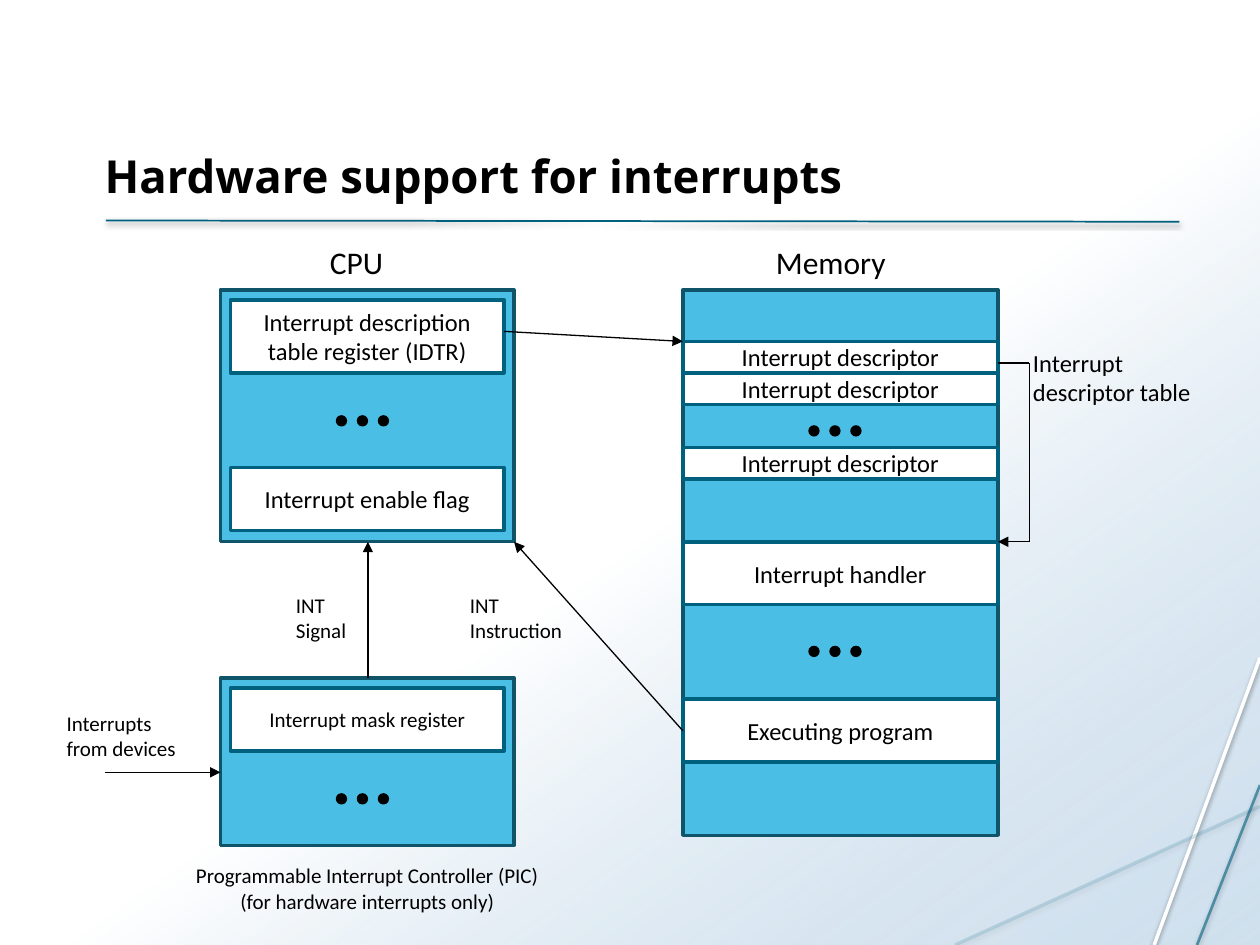
from dataclasses import dataclass

from lxml import etree
from pptx import Presentation
from pptx.dml.color import RGBColor
from pptx.enum import shapes, text
from pptx.oxml.ns import qn
from pptx.util import Inches, Pt


@dataclass(frozen=True)
class Theme:
    black: str = "000000"
    white: str = "FFFFFF"
    haze: str = "A9C7E0"
    panel: str = "4ABEE4"
    panel_edge: str = "10546A"
    accent: str = "00617F"
    accent_soft: str = "15718F"
    body_font: str = "Calibri"
    title_font: str = "Open Sans"
    title: float = 26
    heading: float = 18
    body: float = 14
    small: float = 12
    thin: float = 0.75
    edge: float = 2


T = Theme()


@dataclass(frozen=True)
class Box:
    left: float
    top: float
    width: float
    height: float
    lines: tuple[str, ...] = ()
    size: float = T.body
    fill: str = T.white
    edge: str = T.accent


@dataclass(frozen=True)
class Label:
    left: float
    top: float
    width: float
    height: float
    lines: tuple[str, ...]
    size: float = T.small
    align: text.PP_ALIGN = text.PP_ALIGN.LEFT


@dataclass(frozen=True)
class Line:
    start: tuple[float, float]
    end: tuple[float, float]
    arrow: bool = True
    color: str = T.black
    width: float = T.thin
    opacity: int = 100
    shadow: bool = False


CPU_X, CPU_W = 1.75, 2.33
REG_X, REG_W = 1.83, 2.17
MEM_X, MEM_W = 5.42, 2.5
MEM_RIGHT = MEM_X + MEM_W
LOOP_X = 8.17
HANDLER_Y = 4.3
DOT, DOT_PITCH = 0.08, 1 / 6

DECOR = [
    Line((10, 5.22), (9.16, 7.5), False, T.white, 2, shadow=True),
    Line((10, 6.4), (7.58, 7.5), False, T.accent_soft, 2, 16, True),
    Line((10, 6.23), (9.5, 7.5), False, T.accent, 1.5, 60, True),
    Line((0.84, 1.75), (9.36, 1.76), False, T.accent, 1, shadow=True),
]
PANELS = [
    Box(MEM_X, 2.3, MEM_W, 4.33, fill=T.panel, edge=T.panel_edge),
    Box(CPU_X, 2.3, CPU_W, 2, fill=T.panel, edge=T.panel_edge),
    Box(CPU_X, 5.38, CPU_W, 1.33, fill=T.panel, edge=T.panel_edge),
]
REGISTERS = [
    Box(REG_X, 2.38, REG_W, 0.58, ("Interrupt description", "table register (IDTR)")),
    Box(REG_X, 3.71, REG_W, 0.5, ("Interrupt enable flag",)),
    Box(REG_X, 5.46, REG_W, 0.5, ("Interrupt mask register",), T.small),
]
MEMORY = [Box(MEM_X, y, MEM_W, 0.25, ("Interrupt descriptor",)) for y in (2.71, 2.96, 3.55)] + [
    Box(MEM_X, HANDLER_Y, MEM_W, 0.5, ("Interrupt handler",)),
    Box(MEM_X, 5.55, MEM_W, 0.5, ("Executing program",)),
]
LABELS = [
    Label(6.06, 1.88, 1.21, 0.4, ("Memory",), T.heading),
    Label(2.52, 1.88, 0.7, 0.4, ("CPU",), T.heading),
    Label(1.14, 6.8, 3.55, 0.5,
          ("Programmable Interrupt Controller (PIC)", "(for hardware interrupts only)"),
          align=text.PP_ALIGN.CENTER),
    Label(3.63, 4.65, 1.09, 0.5, ("INT", "Instruction")),
    Label(2.25, 4.65, 0.71, 0.5, ("INT", "Signal")),
    Label(0.43, 5.59, 1.27, 0.5, ("Interrupts", "from devices")),
    Label(8.1, 2.71, 1.74, 0.56, ("Interrupt", "descriptor table"), T.body),
]
ARROWS = [
    Line((4, 2.63), (MEM_X, 2.71)),
    Line((MEM_RIGHT, 2.88), (LOOP_X, 2.88), False),
    Line((LOOP_X, 2.88), (LOOP_X, HANDLER_Y), False),
    Line((LOOP_X, HANDLER_Y), (MEM_RIGHT, HANDLER_Y)),
    Line((MEM_X, 5.8), (4.08, 4.3)),
    Line((2.92, 5.38), (2.92, 4.3)),
    Line((0.83, 6.13), (CPU_X, 6.13)),
]
ELLIPSES = [(2.67, 3.3), (2.67, 6.3), (6.42, 3.38), (6.42, 5.13)]


def rgb(color: str) -> RGBColor:
    return RGBColor.from_string(color)


def add_xml(parent, tag: str, **attrs):
    values = {name: str(value) for name, value in attrs.items()}
    return etree.SubElement(parent, qn(tag), values)


def write(tf, lines: tuple[str, ...], size: float, align, font: str = T.body_font,
          bold: bool = False) -> None:
    tf.word_wrap = True
    for i, line in enumerate(lines):
        p = tf.paragraphs[0] if i == 0 else tf.add_paragraph()
        p.alignment = align
        r = p.add_run()
        r.text = line
        r.font.name, r.font.size, r.font.bold = font, Pt(size), bold
        r.font.color.rgb = rgb(T.black)


def add_shape(s, kind, left: float, top: float, width: float, height: float):
    sp = s.shapes.add_shape(kind, *map(Inches, (left, top, width, height)))
    sp.shadow.inherit = False
    return sp


def add_box(s, box: Box) -> None:
    sp = add_shape(s, shapes.MSO_SHAPE.RECTANGLE, box.left, box.top, box.width, box.height)
    sp.fill.solid()
    sp.fill.fore_color.rgb = rgb(box.fill)
    sp.line.color.rgb = rgb(box.edge)
    sp.line.width = Pt(T.edge)
    if box.lines:
        sp.text_frame.vertical_anchor = text.MSO_ANCHOR.MIDDLE
        write(sp.text_frame, box.lines, box.size, text.PP_ALIGN.CENTER)


def add_label(s, label: Label) -> None:
    sp = s.shapes.add_textbox(*map(Inches, (label.left, label.top, label.width, label.height)))
    write(sp.text_frame, label.lines, label.size, label.align)


def add_line(s, line: Line) -> None:
    cx = s.shapes.add_connector(shapes.MSO_CONNECTOR.STRAIGHT,
                                *map(Inches, line.start + line.end))
    cx.line.color.rgb = rgb(line.color)
    cx.line.width = Pt(line.width)
    sp_pr = cx.element.spPr
    ln = sp_pr.find(qn("a:ln"))
    if line.opacity < 100:
        add_xml(ln.find(".//" + qn("a:srgbClr")), "a:alpha", val=line.opacity * 1000)
    if line.arrow:
        add_xml(ln, "a:tailEnd", type="triangle")
    effects = add_xml(sp_pr, "a:effectLst")
    if line.shadow:
        shadow = add_xml(effects, "a:outerShdw", blurRad=Pt(3.1), dist=Pt(1.6),
                         dir=90 * 60000, rotWithShape=0)
        add_xml(add_xml(shadow, "a:srgbClr", val=T.black), "a:alpha", val=38000)


def add_dots(s, left: float, top: float) -> None:
    for i in range(3):
        sp = add_shape(s, shapes.MSO_SHAPE.OVAL, left + i * DOT_PITCH, top, DOT, DOT)
        sp.fill.solid()
        sp.fill.fore_color.rgb = rgb(T.black)
        sp.line.color.rgb = rgb(T.black)
        sp.line.width = Pt(T.thin)


def add_backdrop(s) -> None:
    sp = add_shape(s, shapes.MSO_SHAPE.RECTANGLE, 0, 0, 10, 7.5)
    sp.line.fill.background()
    sp.fill.gradient()
    sp.fill.gradient_angle = 360 - 55
    for stop, position, color in zip(sp.fill.gradient_stops, (0.54, 1), (T.white, T.haze)):
        stop.position = position
        stop.color.rgb = rgb(color)
    add_xml(sp.element.findall(".//" + qn("a:gs"))[-1][0], "a:alpha", val=54000)


def set_title(s, title: str) -> None:
    sp = s.shapes.title
    sp.left, sp.top, sp.width, sp.height = map(Inches, (0.73, 0.33, 8.62, 1.33))
    tf = sp.text_frame
    tf.auto_size = text.MSO_AUTO_SIZE.NONE
    tf.vertical_anchor = text.MSO_ANCHOR.BOTTOM
    write(tf, (title,), T.title, text.PP_ALIGN.LEFT, T.title_font, True)
    sp.element.getparent().append(sp.element)


def main() -> None:
    prs = Presentation()
    prs.slide_width, prs.slide_height = Inches(10), Inches(7.5)
    s = prs.slides.add_slide(prs.slide_layouts.get_by_name("Title Only"))
    add_backdrop(s)
    for line in DECOR:
        add_line(s, line)
    set_title(s, "Hardware support for interrupts")
    for box in PANELS + REGISTERS + MEMORY:
        add_box(s, box)
    for label in LABELS:
        add_label(s, label)
    for line in ARROWS:
        add_line(s, line)
    for left, top in ELLIPSES:
        add_dots(s, left, top)
    prs.save("out.pptx")


if __name__ == "__main__":
    main()
